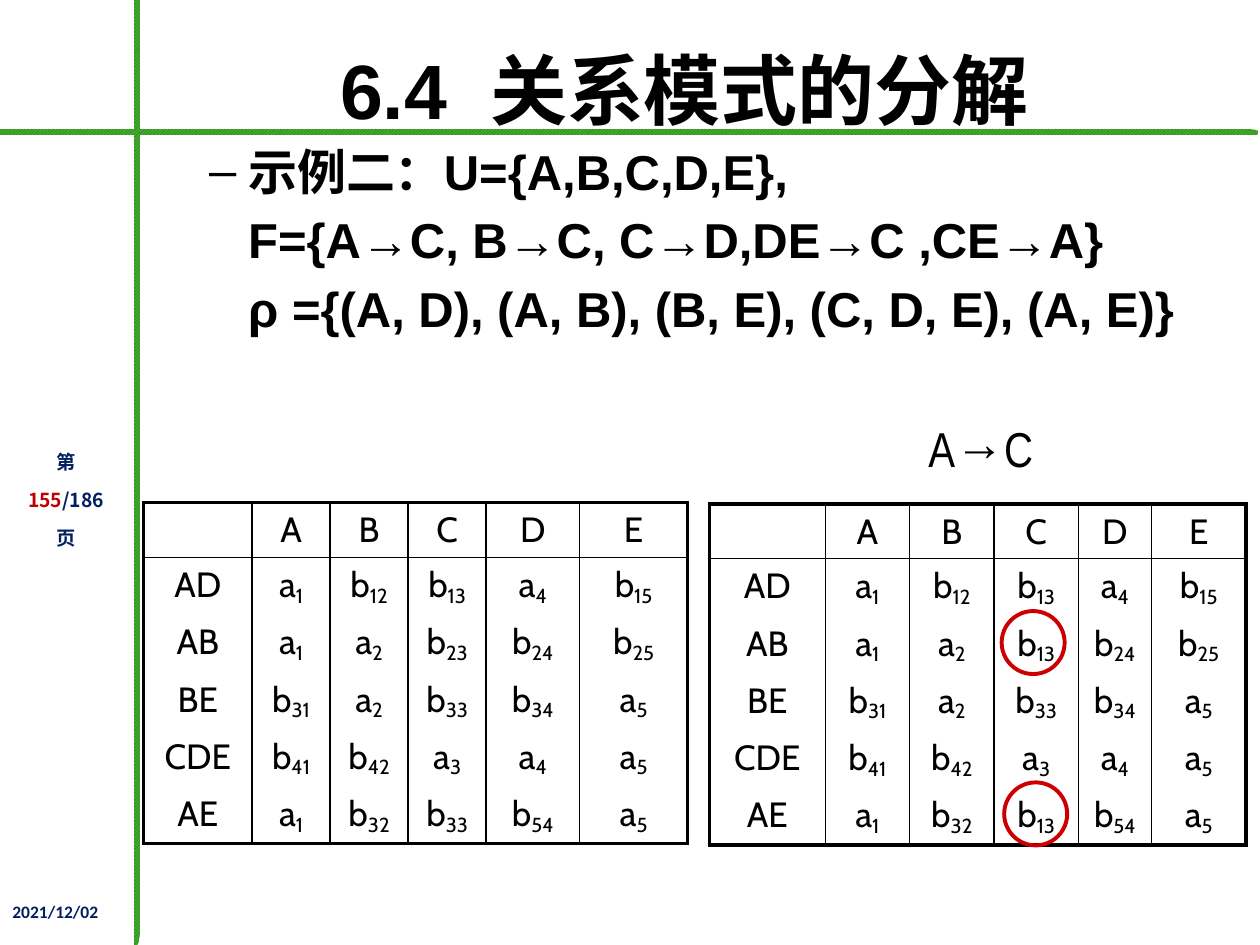
import pptx
import pptx.util
import pptx.dml.color
import pptx.enum.dml
import pptx.enum.shapes
import pptx.enum.text
import lxml.etree
from pptx.oxml.ns import qn

Inches, Pt = pptx.util.Inches, pptx.util.Pt
RGBColor = pptx.dml.color.RGBColor
CENTER = pptx.enum.text.PP_ALIGN.CENTER
MIDDLE = pptx.enum.text.MSO_ANCHOR.MIDDLE

BLACK = RGBColor(0x00, 0x00, 0x00)
NAVY = RGBColor(0x00, 0x20, 0x60)
DARK_RED = RGBColor(0xC0, 0x00, 0x00)
RING_RED = RGBColor(0xCC, 0x00, 0x00)
LIME = RGBColor(0x80, 0xCB, 0x35)
GREEN = RGBColor(0x32, 0x9A, 0x2A)
CJK = "Noto Sans CJK SC"
THICK, THIN = 2.25, 1

TITLE = "6.4  关系模式的分解"
BODY = [
    "示例二：U={A,B,C,D,E},",
    "F={A→C, B→C, C→D,DE→C ,CE→A}",
    "ρ ={(A, D), (A, B), (B, E), (C, D, E), (A, E)}",
]
PAGE = [[("第", NAVY)], [("155", DARK_RED), ("/186", NAVY)], [("页", NAVY)]]
START = [
    ["", "A", "B", "C", "D", "E"],
    ["AD", "a1", "b12", "b13", "a4", "b15"],
    ["AB", "a1", "a2", "b23", "b24", "b25"],
    ["BE", "b31", "a2", "b33", "b34", "a5"],
    ["CDE", "b41", "b42", "a3", "a4", "a5"],
    ["AE", "a1", "b32", "b33", "b54", "a5"],
]
CHANGED = {(2, 3): "b13", (5, 3): "b13"}
AFTER = [[CHANGED.get((i, j), value) for j, value in enumerate(row)]
         for i, row in enumerate(START)]
TABLES = [
    (START, 1.14, 3.99, [0.86, 0.62, 0.62, 0.62, 0.74, 0.86]),
    (AFTER, 5.63, 4.0, [0.92, 0.67, 0.67, 0.67, 0.58, 0.75]),
]
HEADER_H, ROW_H = 0.43, 0.45
RINGS = [(7.95, 4.85), (7.97, 6.21)]
BARS = [
    [(0, 1.02), (9.89, 1.02), (9.96, 1.03), (9.99, 1.04), (9.98, 1.07), (0, 1.07)],
    [(1.11, 0), (1.11, 7.42), (1.1, 7.48), (1.09, 7.5), (1.06, 7.5), (1.06, 0)],
]


def place(shape, x, y, w, h):
    shape.left, shape.top, shape.width, shape.height = map(Inches, (x, y, w, h))


def style(r, size, font, color=BLACK, bold=False):
    r.font.size, r.font.name, r.font.bold = Pt(size), font, bold
    r.font.color.rgb = color
    ea = lxml.etree.Element(qn("a:ea"), typeface=CJK)
    r.font._element.find(qn("a:latin")).addnext(ea)


def add_text(s, x, y, w, h, lines, size, font, bold=False, wrap=True):
    sp = s.shapes.add_textbox(*map(Inches, (x, y, w, h)))
    tf = sp.text_frame
    tf.word_wrap = wrap
    for i, runs in enumerate(lines):
        p = tf.paragraphs[0] if i == 0 else tf.add_paragraph()
        for text, color in runs:
            r = p.add_run()
            r.text = text
            style(r, size, font, color, bold)
    return tf


def add_bar(s, points):
    points = [(Inches(x), Inches(y)) for x, y in points]
    builder = s.shapes.build_freeform(*points[0])
    builder.add_line_segments(points[1:], close=True)
    sp = builder.convert_to_shape()
    sp.shadow.inherit = False
    sp.fill.patterned()
    sp.fill.pattern = pptx.enum.dml.MSO_PATTERN.DARK_UPWARD_DIAGONAL
    sp.fill.fore_color.rgb, sp.fill.back_color.rgb = LIME, GREEN
    sp.line.fill.background()


def set_borders(cell, widths):
    tcPr = cell._tc.get_or_add_tcPr()
    for i, (side, width) in enumerate(widths.items()):
        ln = lxml.etree.Element(qn("a:ln" + side), w=str(Pt(width)))
        if width:
            fill = lxml.etree.SubElement(ln, qn("a:solidFill"))
            lxml.etree.SubElement(fill, qn("a:srgbClr"), val=str(BLACK))
        else:
            lxml.etree.SubElement(ln, qn("a:noFill"))
        tcPr.insert(i, ln)


def fill_cell(cell, value):
    cell.fill.background()
    p = cell.text_frame.paragraphs[0]
    p.alignment = CENTER
    parts = [value[0], value[1:]] if value[:1].islower() else [value]
    for i, part in enumerate(parts):
        r = p.add_run()
        r.text = part
        style(r, 20, "Cabin")
        if i:
            r.font._element.set("baseline", "-16000")


def add_relation(s, rows, x, y, widths):
    heights = [HEADER_H] + [ROW_H] * (len(rows) - 1)
    size = map(Inches, (x, y, sum(widths), sum(heights)))
    table = s.shapes.add_table(len(rows), len(widths), *size).table
    table.first_row = table.horz_banding = False
    for column, w in zip(table.columns, widths):
        column.width = Inches(w)
    last_row, last_col = len(rows) - 1, len(widths) - 1
    for i, row in enumerate(rows):
        table.rows[i].height = Inches(heights[i])
        for j, value in enumerate(row):
            fill_cell(table.cell(i, j), value)
            set_borders(table.cell(i, j), {
                "L": THICK if j == 0 else THIN,
                "R": THICK if j == last_col else THIN,
                "T": {0: THICK, 1: THIN}.get(i, 0),
                "B": {0: THIN, last_row: THICK}.get(i, 0),
            })


def main():
    prs = pptx.Presentation()
    prs.slide_width, prs.slide_height = Inches(10), Inches(7.5)
    s = prs.slides.add_slide(prs.slide_layouts[1])
    for points in BARS:
        add_bar(s, points)

    tf = add_text(s, 0, 2.96, 1.05, 1.89, PAGE, 11, CJK, bold=True)
    tf.vertical_anchor = MIDDLE
    for p in tf.paragraphs:
        p.alignment, p.line_spacing = CENTER, 1.65

    title, body = s.placeholders
    place(title, 1.61, 0.17, 7.65, 1.07)
    title.text_frame.text = TITLE
    title.text_frame.vertical_anchor = MIDDLE
    p = title.text_frame.paragraphs[0]
    p.alignment = CENTER
    style(p.runs[0], 44, "Arial", bold=True)

    place(body, 1.06, 1.07, 8.82, 2.19)
    body.text_frame.text = "\n".join(BODY)
    for i, p in enumerate(body.text_frame.paragraphs):
        p.level, p.space_before = 1, Pt(5.6)
        style(p.runs[0], 28, "Arial", bold=True)
        pPr = p._p.get_or_add_pPr()
        pPr.set("marL", str(Inches(0.81)))
        pPr.set("indent", str(Inches(0 if i else -0.31)))
        if i:
            lxml.etree.SubElement(pPr, qn("a:buNone"))
        else:
            lxml.etree.SubElement(pPr, qn("a:buChar"), char="–")

    add_text(s, 7.27, 3.27, 1.03, 0.57, [[("A→C", BLACK)]], 28, "Arial Narrow", wrap=False)
    for relation in TABLES:
        add_relation(s, *relation)
    for x, y in RINGS:
        sp = s.shapes.add_shape(pptx.enum.shapes.MSO_SHAPE.OVAL,
                                *map(Inches, (x, y, 0.5, 0.5)))
        sp.shadow.inherit = False
        sp.fill.background()
        sp.line.color.rgb, sp.line.width = RING_RED, Pt(THICK)
    add_text(s, 0, 7.1, 1.08, 0.4, [[("2021/12/02", NAVY)]], 10, "Calibri", bold=True)
    prs.save("out.pptx")


if __name__ == "__main__":
    main()
